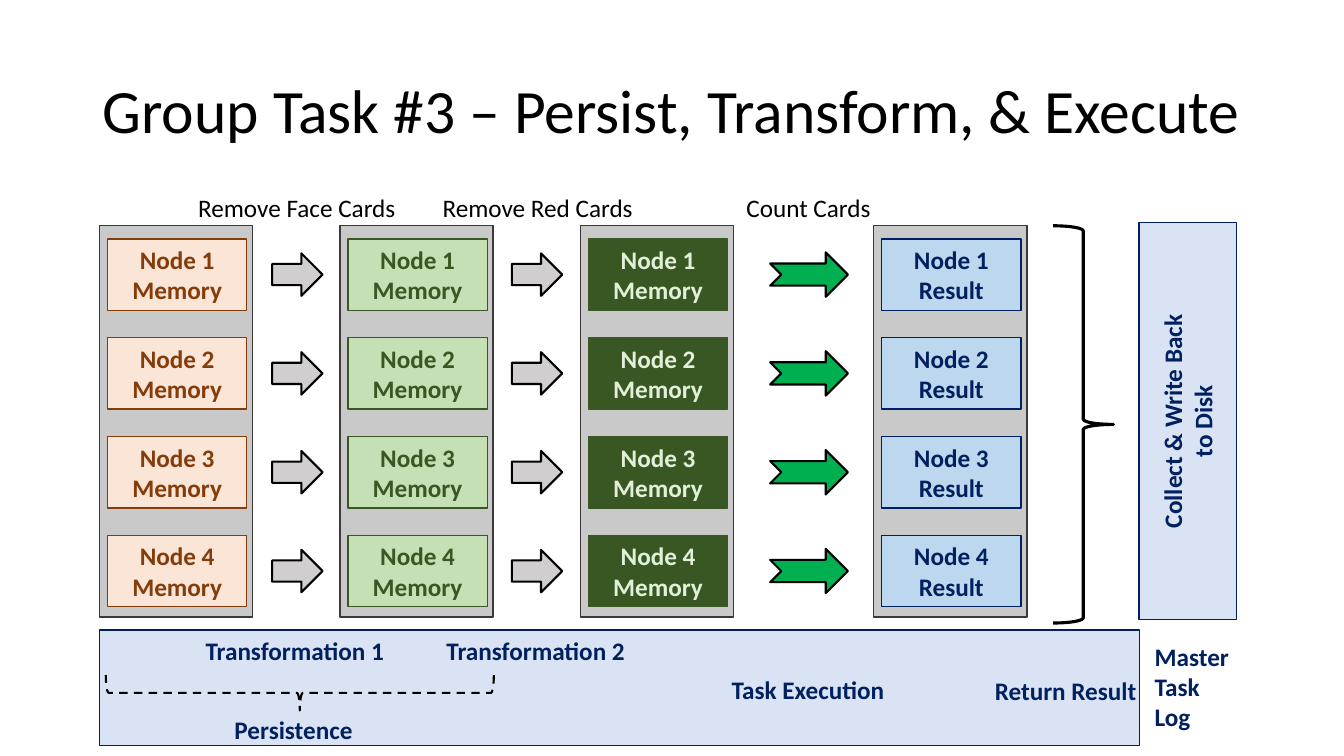
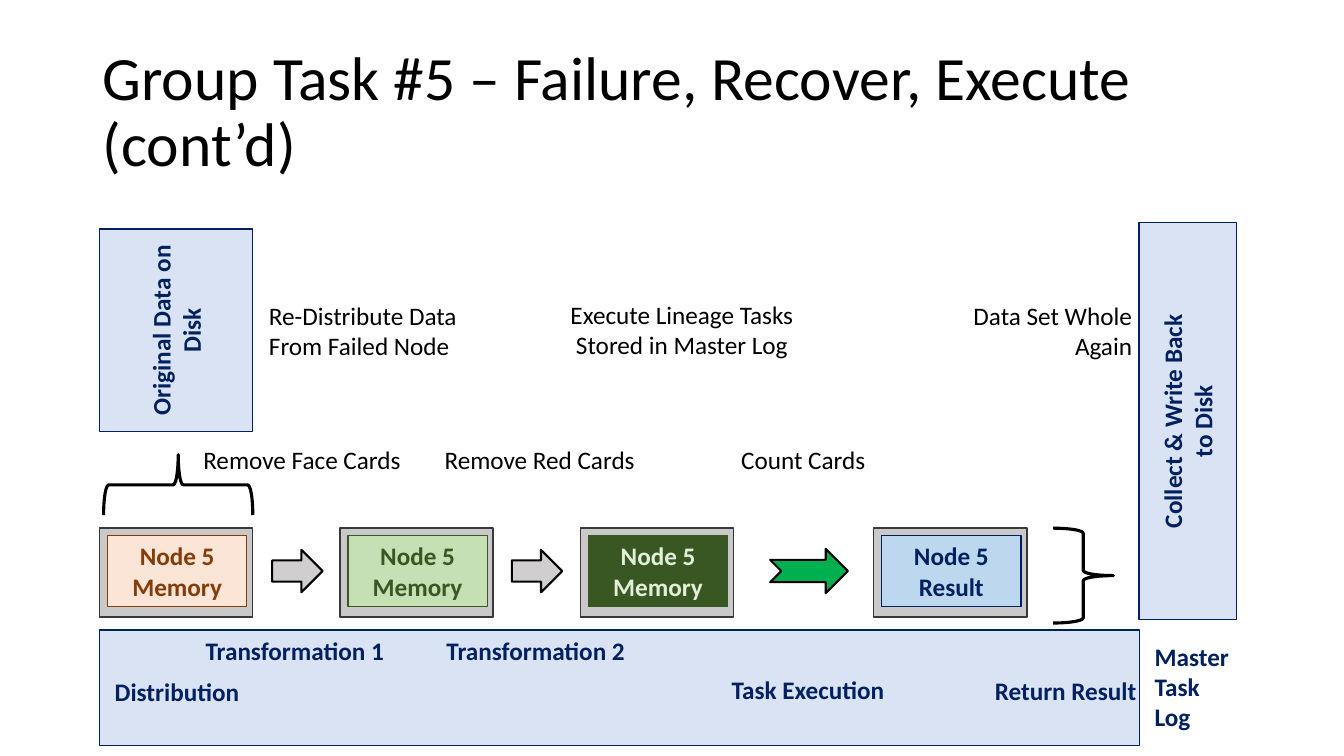
"""Build two slides showing a card-sorting pipeline across cluster nodes."""
from dataclasses import dataclass
from typing import Optional

from pptx import Presentation
from pptx.dml.color import RGBColor
from pptx.enum.dml import MSO_LINE
from pptx.enum.shapes import MSO_SHAPE
from pptx.enum.text import MSO_ANCHOR, PP_ALIGN
from pptx.shapes.autoshape import Shape
from pptx.slide import Slide
from pptx.util import Cm, Pt

RECTANGLE = MSO_SHAPE.RECTANGLE
RIGHT_ARROW = MSO_SHAPE.RIGHT_ARROW
NOTCHED_ARROW = MSO_SHAPE.NOTCHED_RIGHT_ARROW
LEFT_BRACE = MSO_SHAPE.LEFT_BRACE
RIGHT_BRACE = MSO_SHAPE.RIGHT_BRACE
DASH = MSO_LINE.DASH
LEFT, CENTER, RIGHT = PP_ALIGN.LEFT, PP_ALIGN.CENTER, PP_ALIGN.RIGHT
TOP, MIDDLE = MSO_ANCHOR.TOP, MSO_ANCHOR.MIDDLE


@dataclass(frozen=True)
class Theme:
    font: str = "Calibri"
    title_size: float = 44
    body_size: float = 18
    thin: float = 1
    medium: float = 1.5
    thick: float = 2.25
    black: RGBColor = RGBColor.from_string("000000")
    navy: RGBColor = RGBColor.from_string("002060")
    pale_blue: RGBColor = RGBColor.from_string("DAE3F3")
    sky: RGBColor = RGBColor.from_string("BDD7EE")
    column: RGBColor = RGBColor.from_string("C9C9C9")
    column_line: RGBColor = RGBColor.from_string("3B3838")
    arrow: RGBColor = RGBColor.from_string("D0CECE")
    action: RGBColor = RGBColor.from_string("00B050")
    brown: RGBColor = RGBColor.from_string("843C0B")
    peach: RGBColor = RGBColor.from_string("FBE5D6")
    forest: RGBColor = RGBColor.from_string("385723")
    light_green: RGBColor = RGBColor.from_string("C5E0B4")
    mint: RGBColor = RGBColor.from_string("E2F0D9")


THEME = Theme()


@dataclass(frozen=True)
class Box:
    left: float
    top: float
    width: float
    height: float


@dataclass(frozen=True)
class Caption:
    lines: tuple[str, ...]
    box: Box
    align: PP_ALIGN = LEFT
    bold: bool = False


@dataclass(frozen=True)
class Stage:
    left: float
    content: str
    fill: RGBColor
    line: RGBColor
    ink: RGBColor


@dataclass(frozen=True)
class Flow:
    kind: MSO_SHAPE
    left: float
    width: float
    height: float
    fill: RGBColor


@dataclass(frozen=True)
class Node:
    number: int
    row: int


FIRST_LEFT, STAGE_STEP = 2.51, 6.06
COLUMN_WIDTH, COLUMN_BOTTOM, BRACE_BOTTOM = 3.86, 15.55, 15.7
CELL_INSET, CELL_WIDTH, CELL_HEIGHT = 0.2, 3.51, 1.8
FIRST_CELL_TOP, ROW_STEP = 6.02, 2.49
LINE_HEIGHT, TWO_LINES = 1.02, 1.8

STAGES = (
    Stage(FIRST_LEFT, "Memory", THEME.peach, THEME.brown, THEME.brown),
    Stage(FIRST_LEFT + STAGE_STEP, "Memory", THEME.light_green, THEME.forest, THEME.forest),
    Stage(FIRST_LEFT + 2 * STAGE_STEP, "Memory", THEME.forest, THEME.forest, THEME.mint),
    Stage(22.02, "Result", THEME.sky, THEME.navy, THEME.navy),
)
FLOWS = (
    Flow(RIGHT_ARROW, 6.86, 1.27, 1.07, THEME.arrow),
    Flow(RIGHT_ARROW, 12.9, 1.27, 1.07, THEME.arrow),
    Flow(NOTCHED_ARROW, 19.41, 1.96, 1.12, THEME.action),
)
LOG_CAPTIONS = (
    Caption(("Transformation 1",), Box(4.93, 15.88, 5.08, LINE_HEIGHT), bold=True),
    Caption(("Transformation 2",), Box(11, 15.88, 5.08, LINE_HEIGHT), bold=True),
    Caption(("Task Execution",), Box(18.19, 16.87, 4.37, LINE_HEIGHT), bold=True),
    Caption(("Return Result",), Box(24.82, 16.89, 4.37, LINE_HEIGHT), bold=True),
    Caption(("Master", "Task", "Log"), Box(28.85, 16.03, 2.74, 2.57), bold=True),
)
STEP_NAMES = ("Remove Face Cards", "Remove Red Cards", "Count Cards")
STEP_WIDTHS = (5.92, 5.92, 3.81)


def write_text(shape: Shape, lines: tuple[str, ...], color: RGBColor,
               align: PP_ALIGN = LEFT, bold: bool = False, anchor: MSO_ANCHOR = TOP,
               size: float = THEME.body_size, spacing: float = 1.0) -> None:
    frame = shape.text_frame
    frame.word_wrap = True
    frame.vertical_anchor = anchor
    for index, line in enumerate(lines):
        paragraph = frame.add_paragraph() if index else frame.paragraphs[0]
        paragraph.alignment = align
        paragraph.line_spacing = spacing
        run = paragraph.add_run()
        run.text = line
        run.font.name = THEME.font
        run.font.size = Pt(size)
        run.font.bold = bold
        run.font.color.rgb = color


def add_text_box(slide: Slide, box: Box) -> Shape:
    return slide.shapes.add_textbox(Cm(box.left), Cm(box.top), Cm(box.width), Cm(box.height))


def add_preset(slide: Slide, kind: MSO_SHAPE, box: Box, fill: Optional[RGBColor],
               line: RGBColor, weight: float = THEME.thin) -> Shape:
    shape = slide.shapes.add_shape(
        kind, Cm(box.left), Cm(box.top), Cm(box.width), Cm(box.height))
    shape.shadow.inherit = False
    if fill is None:
        shape.fill.background()
    else:
        shape.fill.solid()
        shape.fill.fore_color.rgb = fill
    shape.line.color.rgb = line
    shape.line.width = Pt(weight)
    return shape


def add_caption(slide: Slide, caption: Caption) -> None:
    color = THEME.navy if caption.bold else THEME.black
    write_text(add_text_box(slide, caption.box), caption.lines, color,
               caption.align, caption.bold)


def add_disk_panel(slide: Slide, box: Box, label: str, label_length: float) -> None:
    add_preset(slide, RECTANGLE, box, THEME.pale_blue, THEME.navy)
    label_box = Box(box.left + (box.width - label_length) / 2,
                    box.top + (box.height - TWO_LINES) / 2, label_length, TWO_LINES)
    text_box = add_text_box(slide, label_box)
    text_box.rotation = 270
    write_text(text_box, (label,), THEME.navy, CENTER, bold=True)


def add_pipeline(slide: Slide, nodes: tuple[Node, ...], column_top: float) -> None:
    for stage in STAGES:
        column = Box(stage.left, column_top, COLUMN_WIDTH, COLUMN_BOTTOM - column_top)
        add_preset(slide, RECTANGLE, column, THEME.column, THEME.column_line)
        for node in nodes:
            cell_box = Box(stage.left + CELL_INSET, FIRST_CELL_TOP + node.row * ROW_STEP,
                           CELL_WIDTH, CELL_HEIGHT)
            cell = add_preset(slide, RECTANGLE, cell_box, stage.fill, stage.line)
            write_text(cell, (f"Node {node.number}", stage.content), stage.ink,
                       CENTER, bold=True, anchor=MIDDLE)
    for flow in FLOWS:
        for node in nodes:
            middle = FIRST_CELL_TOP + node.row * ROW_STEP + CELL_HEIGHT / 2
            box = Box(flow.left, middle - flow.height / 2, flow.width, flow.height)
            add_preset(slide, flow.kind, box, flow.fill, THEME.black, THEME.medium)
    brace = Box(26.54, column_top, 1.52, BRACE_BOTTOM - column_top)
    add_preset(slide, RIGHT_BRACE, brace, None, THEME.black, THEME.thick)


def add_task_slide(presentation: Presentation, title: str, nodes: tuple[Node, ...],
                   column_top: float, step_lefts: tuple[float, ...], step_top: float,
                   captions: tuple[Caption, ...]) -> Slide:
    slide = presentation.slides.add_slide(presentation.slide_layouts[6])
    write_text(add_text_box(slide, Box(2.34, 1.02, 29.21, 3.68)), (title,), THEME.black,
               anchor=MIDDLE, size=THEME.title_size, spacing=0.9)
    add_preset(slide, RECTANGLE, Box(2.51, 15.88, 26.21, 2.9), THEME.pale_blue, THEME.navy)
    add_pipeline(slide, nodes, column_top)
    add_disk_panel(slide, Box(28.7, 5.61, 2.46, 10.01), "Collect & Write Back to Disk", 6.43)
    steps = tuple(
        Caption((name,), Box(left, step_top, width, LINE_HEIGHT), CENTER)
        for name, left, width in zip(STEP_NAMES, step_lefts, STEP_WIDTHS))
    for caption in LOG_CAPTIONS + steps + captions:
        add_caption(slide, caption)
    return slide


def add_persist_slide(presentation: Presentation) -> None:
    captions = (Caption(("Persistence",), Box(5.66, 17.88, 3.66, LINE_HEIGHT), bold=True),)
    nodes = tuple(Node(row + 1, row) for row in range(4))
    slide = add_task_slide(presentation, "Group Task #3 – Persist, Transform, & Execute",
                           nodes, 5.69, (4.52, 10.59, 18.47), 4.72, captions)
    brace = add_preset(slide, RIGHT_BRACE, Box(7.11, 12.57, 0.89, 9.78), None,
                       THEME.black, THEME.medium)
    brace.rotation = 90
    brace.line.dash_style = DASH


def add_recovery_slide(presentation: Presentation) -> None:
    captions = (
        Caption(("Distribution",), Box(2.64, 16.92, 3.66, LINE_HEIGHT), bold=True),
        Caption(("Re-Distribute Data From Failed Node",), Box(6.53, 7.44, 5.92, TWO_LINES)),
        Caption(("Execute Lineage Tasks Stored in Master Log",),
                Box(13.54, 7.42, 7.29, TWO_LINES), CENTER),
        Caption(("Data Set Whole Again",), Box(22.86, 7.44, 5.92, TWO_LINES), RIGHT),
    )
    slide = add_task_slide(presentation, "Group Task #5 – Failure, Recover, Execute (cont’d)",
                           (Node(5, 3),), 13.31, (4.65, 10.64, 18.34), 11.07, captions)
    add_disk_panel(slide, Box(2.51, 5.77, COLUMN_WIDTH, 5.11), "Original Data on Disk", 5.05)
    brace = add_preset(slide, LEFT_BRACE, Box(3.73, 10.34, 1.52, 3.76), None,
                       THEME.black, THEME.thick)
    brace.rotation = 90


def main() -> None:
    presentation = Presentation()
    presentation.slide_width = Cm(33.87)
    presentation.slide_height = Cm(19.05)
    add_persist_slide(presentation)
    add_recovery_slide(presentation)
    presentation.save("out.pptx")


if __name__ == "__main__":
    main()
